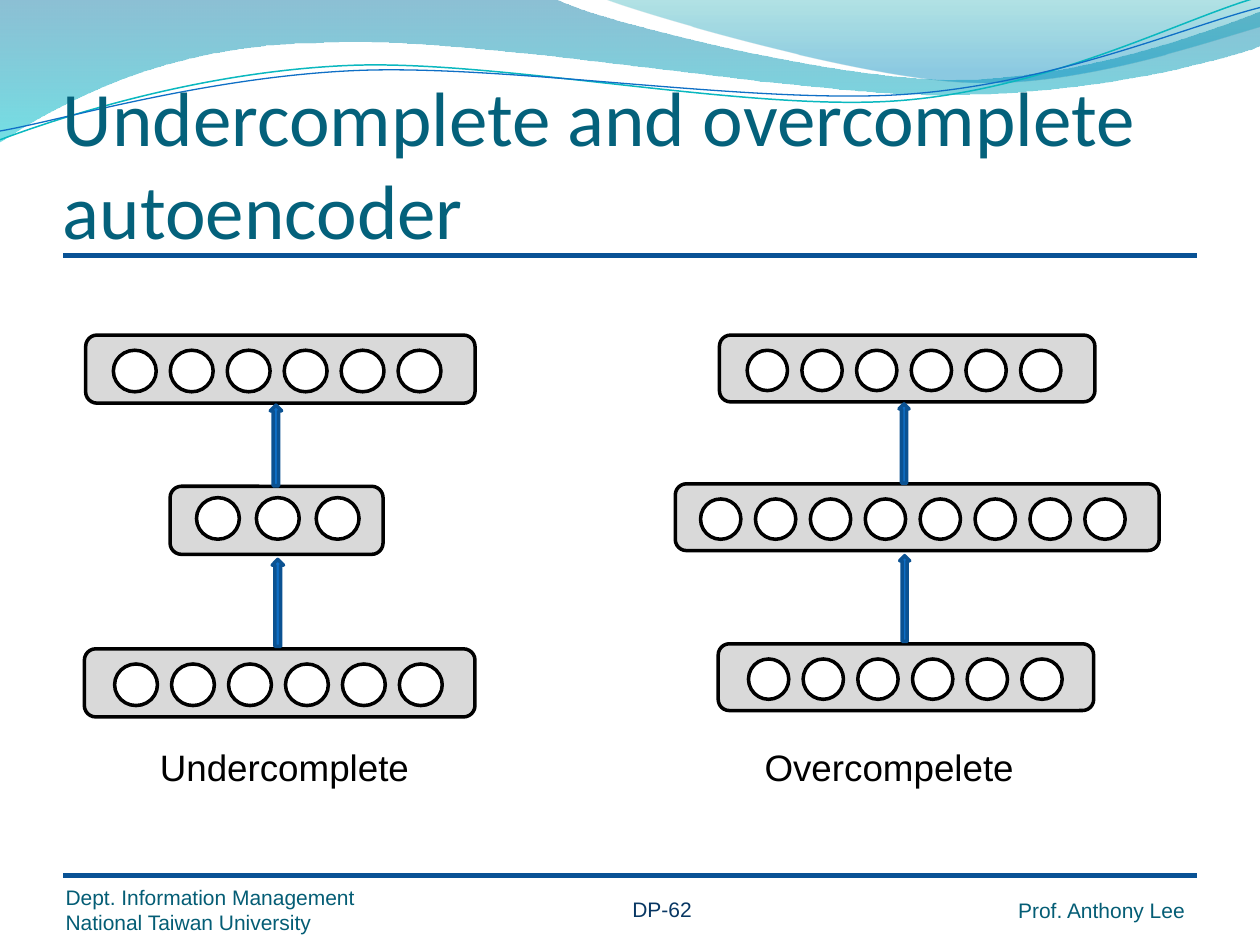
from lxml import etree
from pptx import Presentation
from pptx.dml.color import RGBColor
from pptx.enum.shapes import MSO_CONNECTOR as Connector, MSO_SHAPE as Shape
from pptx.enum.text import MSO_ANCHOR as Anchor, MSO_AUTO_SIZE as AutoSize
from pptx.oxml.ns import qn
from pptx.util import Cm, Pt


class Theme:
    heading, body = "Calibri", "Arial"
    title, label, footer = 44, 21, 12
    title_ink, footer_ink, page_ink, ink = "04617B", "045D75", "083763", "000000"
    rule, layer, unit = "095295", "D9D9D9", "FFFFFF"
    arrow, arrow_edge = "0F6FC6", "0B5292"


# Content: positions are in inches on the 10 x 7.5 slide
TITLE = "Undercomplete and overcomplete autoencoder"
LABELS = ["Undercomplete", "Overcompelete"]
LABEL_GAP = 4.8
RULES = [2.03, 6.95]
FOOTERS = [  # lines, box
    (["Dept. Information Management", "National Taiwan University"], (0.52, 7.02, 2.51, 0.4)),
    (["Prof. Anthony Lee"], (8.08, 6.92, 1.42, 0.4)),
]
PAGE_NUMBER = "DP-62"
NETWORKS = [
    {
        "layer_height": 0.54, "unit_size": (0.34, 0.33),
        # layer left, top, width; number of units, first left, last left, top
        "layers": [
            (0.68, 2.66, 3.09, 6, 0.9, 3.16, 2.78),
            (0.67, 5.15, 3.1, 6, 0.91, 3.17, 5.27),
            (1.35, 3.86, 1.69, 3, 1.56, 2.51, 3.95),
        ],
        # arrow boxes before the quarter turn
        "arrows": [(1.86, 4.74, 0.69, 0.09), (1.87, 3.49, 0.64, 0.09)],
    },
    {
        "layer_height": 0.53, "unit_size": (0.32, 0.32),
        "layers": [
            (5.71, 2.66, 2.98, 6, 5.93, 8.1, 2.78),
            (5.7, 5.11, 2.98, 6, 5.94, 8.11, 5.23),
            (5.36, 3.84, 3.84, 8, 5.56, 8.61, 3.96),
        ],
        "arrows": [(6.84, 4.71, 0.68, 0.08), (6.86, 3.48, 0.63, 0.08)],
    },
]

# Header waves: a 2-number step is a line, a 6-number step a Bezier curve
BANDS = [  # steps, gradient stops (position, colour, opacity %)
    ([(0, -0.01), (4.4, -0.01), (4.76, 0.17, 6.64, 0.63, 7.58, 0.63),
      (8.53, 0.63, 9.58, 0.26, 10, 0.09), (10.01, 0.36),
      (9.83, 0.44, 8.7, 0.76, 7.46, 0.75), (6.22, 0.75, 3.82, 0.28, 2.57, 0.34),
      (1.29, 0.35, 0.46, 0.83, -0.01, 1.13)],
     [(0, "0074A1", 45), (1, "00C6CF", 55)]),
    ([(4.79, -0.01), (5.09, 0.11, 6.82, 0.62, 7.69, 0.65),
      (8.56, 0.69, 9.61, 0.32, 10, 0.21), (10, 0)],
     [(0, "00A1A9", 30), (0.8, "008BBF", 45)]),
]
STRANDS = [  # steps, colour, width
    ([(0, 1.11), (0.48, 0.93, 1.58, 0.57, 2.77, 0.52),
      (3.95, 0.47, 5.93, 0.89, 7.13, 0.8), (8.33, 0.71, 9.38, 0.15, 9.98, -0.02)],
     "0AB8BF", 0.85),
    ([(0, 1.04), (0.47, 0.96, 1.64, 0.61, 2.83, 0.56),
      (4.03, 0.51, 5.97, 0.83, 7.17, 0.75), (8.36, 0.67, 9.41, 0.21, 10, 0.06)],
     "0F6FC6", 0.75),
]


def length(inches):
    return Cm(inches * 2.54)


def rgb(colour):
    return RGBColor.from_string(colour)


def add_wave(parent, steps, close):
    points = [(length(x), length(y)) for step in steps
              for x, y in zip(step[::2], step[1::2])]
    builder = parent.shapes.build_freeform(*points[0])
    builder.add_line_segments(points[1:], close=close)
    wave = builder.convert_to_shape()
    wave.shadow.inherit = False
    # Join each curve's two controls and end point into one Bezier segment
    segments = iter(list(wave.element.iter(qn("a:lnTo"))))
    for step in steps[1:]:
        segment = next(segments)
        if len(step) == 6:
            segment.tag = qn("a:cubicBezTo")
            for extra in (next(segments), next(segments)):
                segment.append(extra[0])
                extra.getparent().remove(extra)
    return wave


def add_text(lines, box, size, colour, font=Theme.body, top=0, anchor=Anchor.BOTTOM):
    frame = slide.shapes.add_textbox(*map(length, box)).text_frame
    frame.word_wrap = True
    frame.vertical_anchor = anchor
    if anchor == Anchor.TOP:
        frame.auto_size = AutoSize.SHAPE_TO_FIT_TEXT
    else:
        frame.margin_left = frame.margin_right = frame.margin_bottom = 0
        frame.margin_top = length(top)
    frame.text = "\n".join(lines)
    for paragraph in frame.paragraphs:
        paragraph.font.name, paragraph.font.size = font, Pt(size)
        paragraph.font.color.rgb = rgb(colour)
    return frame


def add_part(network, preset, box, fill, edge):
    part = network.shapes.add_shape(preset, *map(length, box))
    part.shadow.inherit = False
    part.fill.solid()
    part.fill.fore_color.rgb = rgb(fill)
    part.line.color.rgb = rgb(edge)
    part.line.width = Pt(2)
    return part


deck = Presentation()
deck.slide_width, deck.slide_height = length(10), length(7.5)
slide = deck.slides.add_slide(deck.slide_layouts[6])

# Header waves
for steps, stops in BANDS:
    band = add_wave(slide, steps, close=True)
    band.line.fill.background()
    band.fill.gradient()
    band.fill.gradient_angle = 270
    for stop, (position, colour, _) in zip(band.fill.gradient_stops, stops):
        stop.position, stop.color.rgb = position, rgb(colour)
    for tint, (_, _, opacity) in zip(band.element.iter(qn("a:srgbClr")), stops):
        etree.SubElement(tint, qn("a:alpha"), val=str(opacity * 1000))
strands = slide.shapes.add_group_shape()
for steps, colour, width in STRANDS:
    strand = add_wave(strands, steps, close=False)
    strand.fill.background()
    strand.line.color.rgb = rgb(colour)
    strand.line.width = Pt(width)

# Rules, footer and title
for y in RULES:
    rule = slide.shapes.add_connector(
        Connector.STRAIGHT, length(0.5), length(y), length(9.5), length(y))
    rule.line.color.rgb = rgb(Theme.rule)
    rule.line.width = Pt(3)
    etree.SubElement(rule.element.spPr, qn("a:effectLst"))
for lines, box in FOOTERS:
    add_text(lines, box, Theme.footer, Theme.footer_ink)
add_text([PAGE_NUMBER], (4.92, 7.07, 0.87, 0.3), Theme.footer, Theme.page_ink,
         anchor=Anchor.TOP)
add_text([TITLE], (0.5, 0.77, 9, 1.25), Theme.title, Theme.title_ink,
         Theme.heading, top=0.05)

# Networks: layers with evenly spaced units, joined by arrows
for content in NETWORKS:
    network = slide.shapes.add_group_shape()
    for left, top, width, count, first, last, unit_top in content["layers"]:
        add_part(network, Shape.ROUNDED_RECTANGLE,
                 (left, top, width, content["layer_height"]), Theme.layer, Theme.ink)
        pitch = (last - first) / (count - 1)
        for i in range(count):
            add_part(network, Shape.OVAL,
                     (first + i * pitch, unit_top, *content["unit_size"]),
                     Theme.unit, Theme.ink)
    for box in content["arrows"]:
        arrow = add_part(network, Shape.RIGHT_ARROW, box, Theme.arrow, Theme.arrow_edge)
        arrow.rotation = 270

# Labels share one line, parted by a tab stop
labels = add_text(["\t".join(LABELS)], (1.17, 5.86, 7.64, 0.45), Theme.label,
                  Theme.ink, anchor=Anchor.TOP)
properties = labels.paragraphs[0].runs[0].font and labels.paragraphs[0]._p.get_or_add_pPr()
tabs = etree.Element(qn("a:tabLst"))
etree.SubElement(tabs, qn("a:tab"), pos=str(length(LABEL_GAP)), algn="l")
properties.insert(0, tabs)

deck.save("out.pptx")
